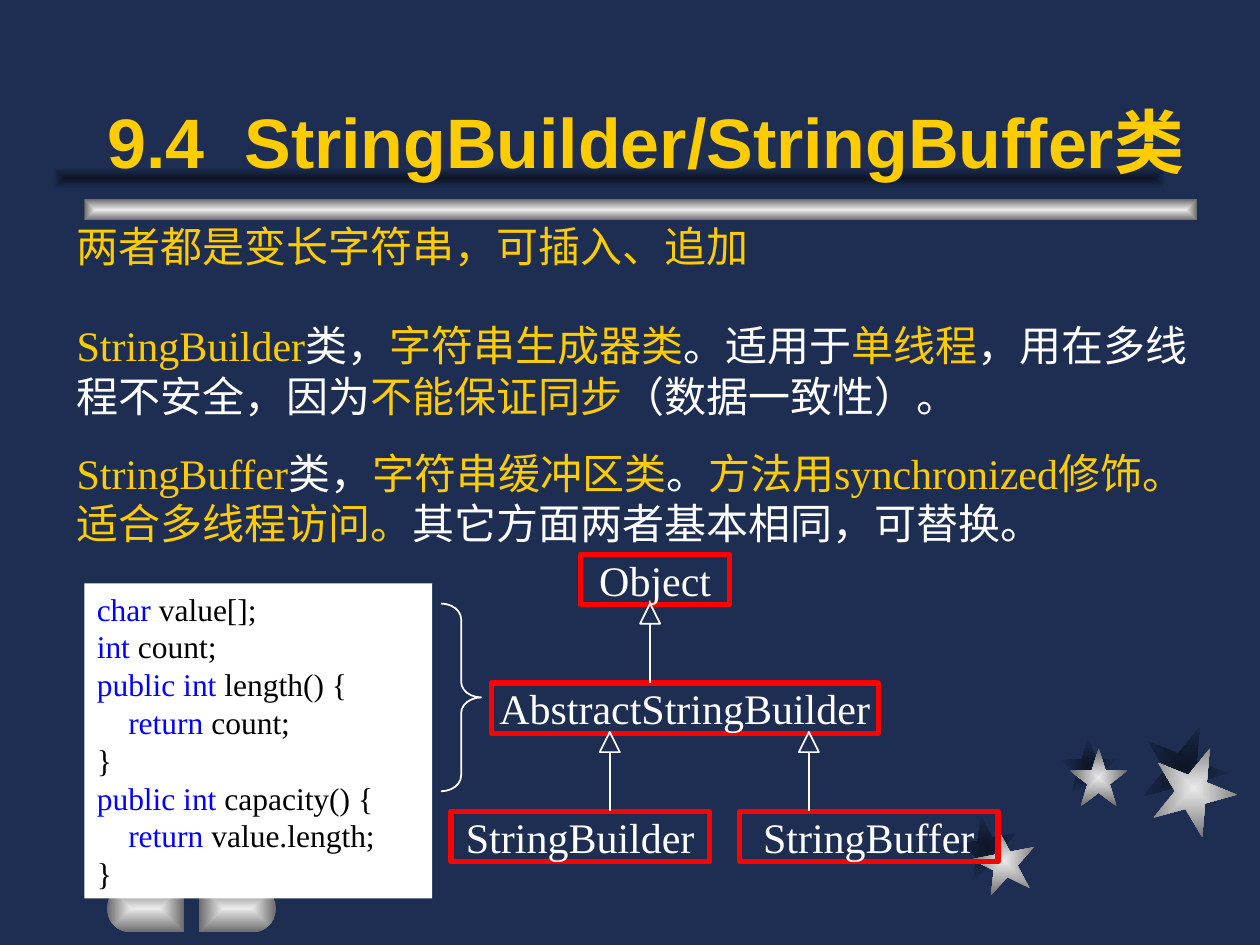
from math import cos, pi, sin

from lxml.etree import SubElement
from pptx import Presentation
from pptx.dml.color import RGBColor
from pptx.enum.shapes import MSO_CONNECTOR, MSO_SHAPE
from pptx.enum.text import MSO_ANCHOR, MSO_AUTO_SIZE, PP_ALIGN
from pptx.oxml.ns import qn
from pptx.util import Inches, Pt

COLORS = {
    "navy": "1E2E53", "shade": "0D1526", "silver": "EAEAEA", "gray": "6B6B6B",
    "gold": "FFCC00", "white": "FFFFFF", "red": "FF0000", "blue": "0000FF",
    "black": "000000",
}
METAL = ("silver", "gray")
SHADOW = ("shade", "navy")


def rgb(name):
    return RGBColor.from_string(COLORS[name])


class SlideBuilder:
    body_font = "Times New Roman"
    title_font = "Arial"

    def __init__(self, deck):
        self.slide = deck.slides.add_slide(deck.slide_layouts[5])
        self.shapes = self.slide.shapes
        fill = self.slide.background.fill
        fill.solid()
        fill.fore_color.rgb = rgb("navy")

    def shape(self, kind, left, top, width, height, fill=None, line=None, weight=1):
        shape = self.shapes.add_shape(
            kind, Inches(left), Inches(top), Inches(width), Inches(height))
        self.paint(shape, fill, line, weight)
        return shape

    def paint(self, shape, fill=None, line=None, weight=1):
        shape.shadow.inherit = False
        if isinstance(fill, tuple):
            self.radiate(shape, fill)
        elif fill:
            shape.fill.solid()
            shape.fill.fore_color.rgb = rgb(fill)
        else:
            shape.fill.background()
        if line:
            shape.line.color.rgb = rgb(line)
            shape.line.width = Pt(weight)
        else:
            shape.line.fill.background()

    def radiate(self, shape, names):
        """Gradient that spreads from the centre to the edges."""
        shape.fill.gradient()
        for stop, name in zip(shape.fill.gradient_stops, names):
            stop.color.rgb = rgb(name)
        gradient = shape.element.spPr.find(qn("a:gradFill"))
        gradient.remove(gradient.find(qn("a:lin")))
        spread = SubElement(gradient, qn("a:path"), {"path": "rect"})
        SubElement(spread, qn("a:fillToRect"), dict.fromkeys("ltrb", "50000"))

    def half_pill(self, flat_x, side):
        """Block with one flat end; side is -1 for round left, 1 for round right."""
        radius, middle, reach = 0.19, 7.21, 0.42
        angles = [pi / 2 - pi * step / 20 for step in range(21)]
        arc = [(flat_x + side * (reach + radius * cos(angle)), middle - radius * sin(angle))
               for angle in angles]
        points = arc + [(flat_x, middle + radius)]
        outline = self.shapes.build_freeform(
            Inches(flat_x), Inches(middle - radius), scale=1.0)
        outline.add_line_segments([(Inches(x), Inches(y)) for x, y in points], close=True)
        self.paint(outline.convert_to_shape(), METAL)

    def fill_text(self, frame, paragraphs, size, font=body_font, bold=False,
                  align=PP_ALIGN.LEFT, anchor=MSO_ANCHOR.TOP, wrap=True, gap=0):
        frame.word_wrap = wrap
        frame.auto_size = MSO_AUTO_SIZE.NONE
        frame.vertical_anchor = anchor
        for index, spans in enumerate(paragraphs):
            para = frame.add_paragraph() if index else frame.paragraphs[0]
            para.alignment = align
            if index:
                para.space_before = Pt(gap)
            for text, color in spans:
                span = para.add_run()
                span.text = text
                span.font.size = Pt(size)
                span.font.name = font
                span.font.bold = bold
                span.font.color.rgb = rgb(color)

    def title(self, text, tab_at):
        title = self.shapes.title
        title.left, title.top = Inches(0.75), Inches(0.25)
        title.width, title.height = Inches(8.9), Inches(1.25)
        # Bring the title in front of the decoration
        title.element.getparent().append(title.element)
        properties = title.text_frame.paragraphs[0]._p.get_or_add_pPr()
        tabs = SubElement(properties, qn("a:tabLst"))
        SubElement(tabs, qn("a:tab"), pos=str(Inches(tab_at)), algn="l")
        self.fill_text(title.text_frame, [[(text, "gold")]], 40, self.title_font,
                       bold=True, anchor=MSO_ANCHOR.BOTTOM)

    def text(self, left, top, width, height, paragraphs, gap=0):
        box = self.shapes.add_textbox(
            Inches(left), Inches(top), Inches(width), Inches(height))
        self.fill_text(box.text_frame, paragraphs, 24, gap=gap)

    def class_box(self, name, left, top, width):
        box = self.shape(MSO_SHAPE.RECTANGLE, left, top, width, 0.4, line="red", weight=3)
        self.fill_text(box.text_frame, [[(name, "white")]], 24, align=PP_ALIGN.CENTER,
                       anchor=MSO_ANCHOR.MIDDLE, wrap=False)

    def inherits(self, x, top):
        """Hollow arrowhead at the parent with a stem down to the child."""
        head, stem = 0.16, 0.47
        self.shape(MSO_SHAPE.ISOSCELES_TRIANGLE, x - head / 2, top, head, head, line="white")
        line = self.shapes.add_connector(
            MSO_CONNECTOR.STRAIGHT, Inches(x), Inches(top + head),
            Inches(x), Inches(top + head + stem))
        line.line.color.rgb = rgb("white")
        line.line.width = Pt(1)
        SubElement(line.element.spPr, qn("a:effectLst"))


def main():
    deck = Presentation()
    deck.slide_width, deck.slide_height = Inches(10), Inches(7.5)
    page = SlideBuilder(deck)

    # Stars: shadows first, then the metal ones
    for colors, stars in (
        (SHADOW, [(7.58, 6.47, 0.5, -11), (8.41, 5.85, 0.46, 0), (9.06, 5.75, 0.67, 22)]),
        (METAL, [(7.72, 6.58, 0.5, -11), (8.49, 5.94, 0.46, 0), (9.14, 5.92, 0.67, 22)]),
    ):
        for left, top, size, turn in stars:
            star = page.shape(MSO_SHAPE.STAR_5_POINT, left, top, size, size, colors)
            star.rotation = turn

    # Title bar with its shadow, and the blocks at the foot
    page.shape(MSO_SHAPE.RECTANGLE, 0.67, 1.58, 8.83, 0.17, METAL)
    page.shape(MSO_SHAPE.RECTANGLE, 0.42, 1.33, 8.83, 0.17, SHADOW)
    page.half_pill(1.46, -1)
    page.half_pill(1.58, 1)

    # Title and explanation
    page.title("9.4\tStringBuilder/StringBuffer类", 1.09)
    page.text(0.51, 2.49, 9.21, 1.91, [
        [("StringBuilder", "gold"), ("类，", "white"), ("字符串生成器类", "gold"),
         ("。适用于", "white"), ("单线程", "gold"), ("，用在多线程不安全，因为", "white"),
         ("不能保证同步", "gold"), ("（数据一致性）。", "white")],
        [("StringBuffer", "gold"), ("类，", "white"), ("字符串缓冲区类", "gold"),
         ("。", "white"), ("方法用synchronized修饰。适合多线程访问。", "gold"),
         ("其它方面两者基本相同，可替换。", "white")],
    ], gap=15)
    page.text(0.51, 1.7, 7.87, 0.5, [[("两者都是变长字符串，可插入、追加", "gold")]])

    # Code of the abstract class
    code = page.shape(MSO_SHAPE.RECTANGLE, 0.67, 4.63, 2.76, 2.5, "white")
    page.fill_text(code.text_frame, [
        [("char", "blue"), (" value[];", "black")],
        [("int", "blue"), (" count;", "black")],
        [("public int", "blue"), (" length() {", "black")],
        [("    ", "black"), ("return", "blue"), (" count;", "black")],
        [("}", "black")],
        [("public int", "blue"), (" capacity() {", "black")],
        [("    ", "black"), ("return", "blue"), (" value.length;", "black")],
        [("}", "black")],
    ], 18)
    brace = page.shape(MSO_SHAPE.RIGHT_BRACE, 3.5, 4.79, 0.32, 1.49, line="white")
    brace.adjustments[0] = 0.39

    # Class hierarchy
    for name, left, top, width in (
        ("Object", 4.61, 4.4, 1.18),
        ("AbstractStringBuilder", 3.9, 5.42, 3.07),
        ("StringBuilder", 3.58, 6.44, 2.05),
        ("StringBuffer", 5.87, 6.44, 2.05),
    ):
        page.class_box(name, left, top, width)
    for x, top in ((5.16, 4.79), (4.84, 5.81), (6.42, 5.81)):
        page.inherits(x, top)

    deck.save("out.pptx")


if __name__ == "__main__":
    main()
